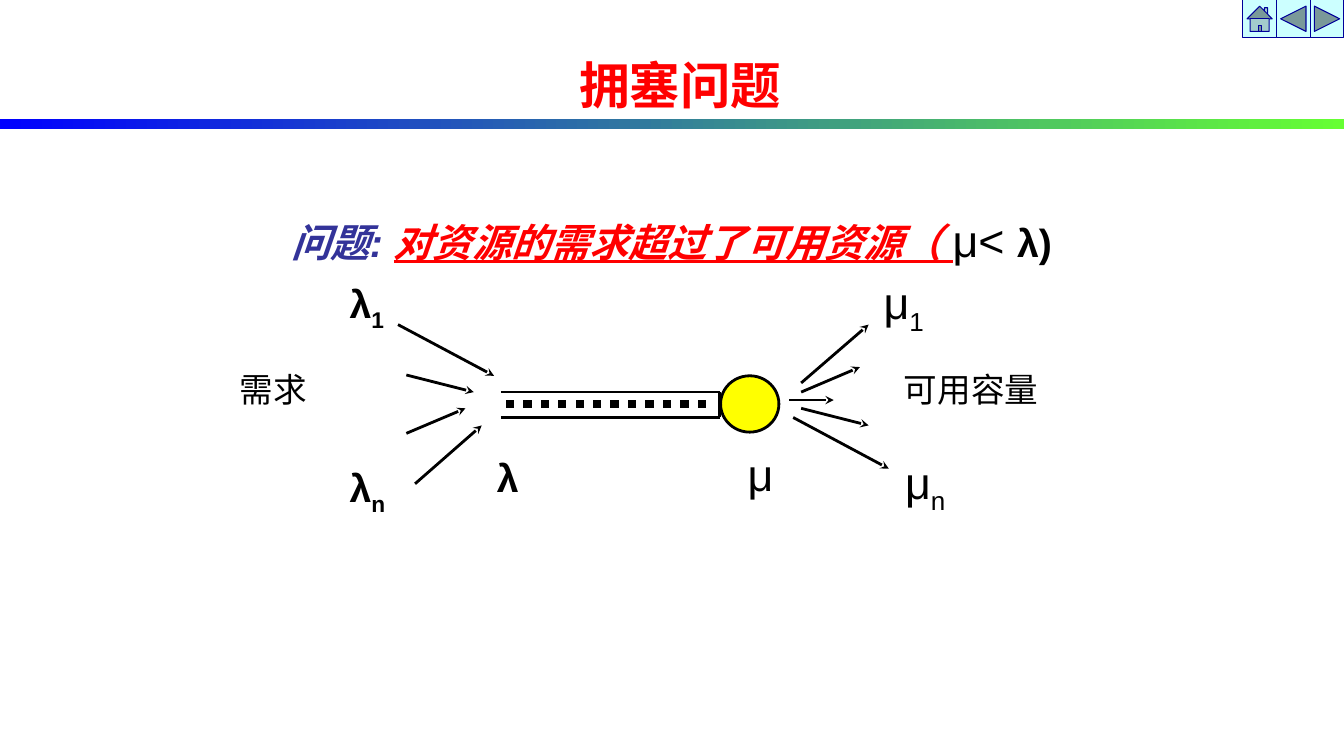
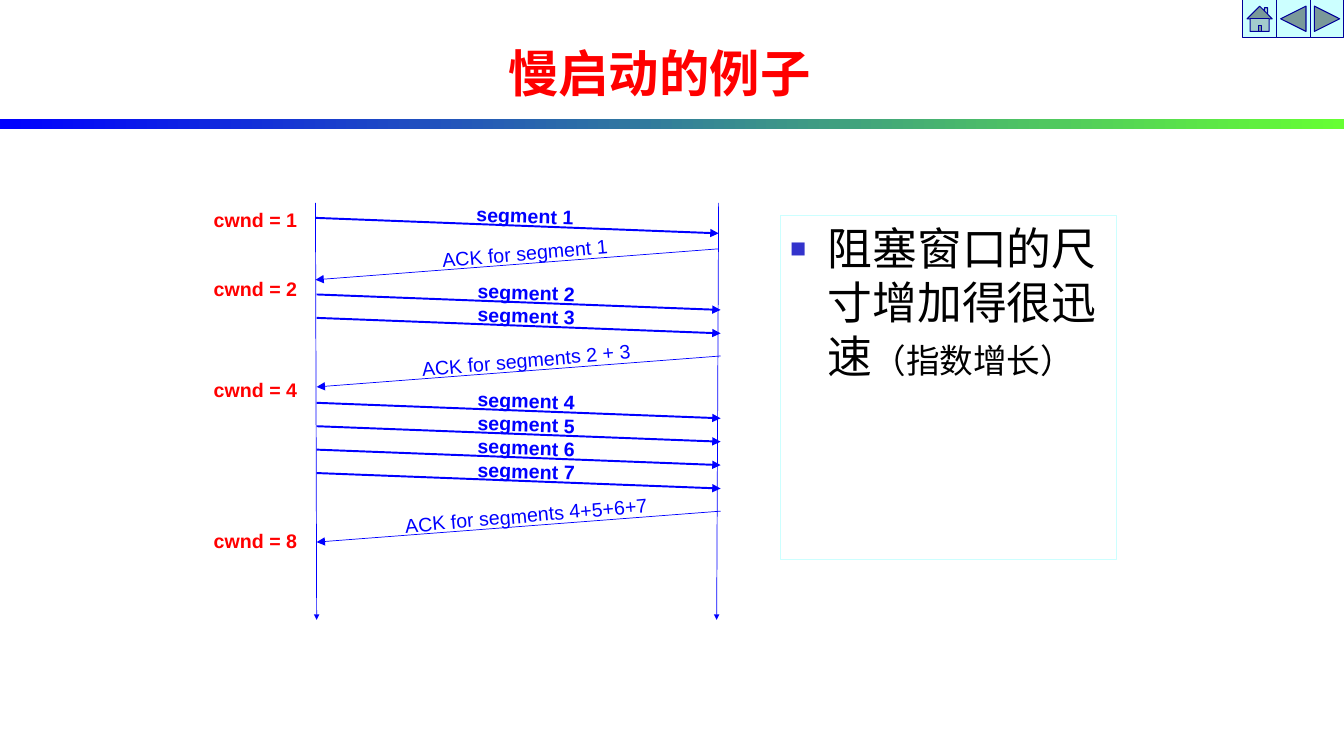
import pptx
import pptx.util
import pptx.dml.color
import pptx.enum.shapes
import pptx.enum.text
import pptx.enum.lang
import pptx.oxml.ns
from lxml import etree

Cm = pptx.util.Cm
Pt = pptx.util.Pt
SHAPE = pptx.enum.shapes.MSO_SHAPE
ALIGN = pptx.enum.text.PP_ALIGN
ANCHOR = pptx.enum.text.MSO_ANCHOR
CHINESE = pptx.enum.lang.MSO_LANGUAGE_ID.SIMPLIFIED_CHINESE

WIDE, HIGH = 33.87, 19.05
BLACK, WHITE, RED, BLUE = "000000", "FFFFFF", "FF0000", "0000FF"
NAVY, PALE, INDIGO, YELLOW = "000099", "CCFFFF", "333399", "FFFF00"
LIME, BULLET = "66FF33", "3333CC"


def rgb(code):
    return pptx.dml.color.RGBColor.from_string(code)


def tag(parent, name, **attrs):
    node = etree.SubElement(parent, pptx.oxml.ns.qn("a:" + name))
    for key, value in attrs.items():
        node.set(key, str(value))
    return node


def style(run, size=14, font="Arial", color=BLACK, bold=False,
          slant=False, under=False, base=0):
    face = run.font
    face.size = Pt(size)
    face.name = font
    face.bold = bold
    face.italic = slant
    face.underline = under
    face.color.rgb = rgb(color)
    face.language_id = CHINESE
    props = run._r.get_or_add_rPr()
    tag(props, "ea", typeface=font)
    if base:
        props.set("baseline", str(base * 1000))


def text(shape, words, align=ALIGN.LEFT, wrap=True, inset=True,
         bullet=False, **look):
    frame = shape.text_frame
    frame.word_wrap = wrap
    frame.vertical_anchor = ANCHOR.TOP
    if not inset:
        frame.margin_left = frame.margin_right = 0
        frame.margin_top = frame.margin_bottom = 0
    para = frame.paragraphs[0]
    para.alignment = align
    if bullet:
        props = para._p.get_or_add_pPr()
        props.set("marL", str(Cm(0.95)))
        props.set("indent", str(-Cm(0.95)))
        tag(tag(props, "buClr"), "srgbClr", val=BULLET)
        tag(props, "buSzPct", val=60000)
        tag(props, "buFont", typeface="Arial")
        tag(props, "buChar", char="■")
    parts = [(words, {})] if isinstance(words, str) else words
    for part, extra in parts:
        run = para.add_run()
        run.text = part
        style(run, **{**look, **extra})


def label(slide, left, top, width, height, words, turn=0, **look):
    area = slide.shapes.add_textbox(Cm(left), Cm(top), Cm(width), Cm(height))
    area.rotation = turn
    text(area, words, **look)


def block(slide, kind, left, top, width, height, fill, edge=None, thick=0.75):
    shape = slide.shapes.add_shape(kind, Cm(left), Cm(top), Cm(width), Cm(height))
    shape.shadow.inherit = False
    shape.fill.solid()
    shape.fill.fore_color.rgb = rgb(fill)
    if edge:
        shape.line.color.rgb = rgb(edge)
        shape.line.width = Pt(thick)
    else:
        shape.line.fill.background()
    return shape


def line(slide, start, end, color=BLACK, thick=2, head=None, size="med"):
    link = slide.shapes.add_connector(
        pptx.enum.shapes.MSO_CONNECTOR.STRAIGHT,
        *(Cm(value) for value in (*start, *end)))
    link.line.color.rgb = rgb(color)
    link.line.width = Pt(thick)
    if head:
        tag(link.line._get_or_add_ln(), "tailEnd", type=head, w=size, len=size)
    tag(link._element.spPr, "effectLst")


def page(deck, title, left, top):
    slide = deck.slides.add_slide(deck.slide_layouts[6])
    kinds = (SHAPE.ACTION_BUTTON_FORWARD_OR_NEXT,
             SHAPE.ACTION_BUTTON_BACK_OR_PREVIOUS,
             SHAPE.ACTION_BUTTON_HOME)
    for place, kind in enumerate(kinds, 1):
        block(slide, kind, WIDE - 0.85 * place, 0, 0.85, 0.95, PALE, NAVY)
    band = block(slide, SHAPE.RECTANGLE, 0, 3, WIDE, 0.24, BLUE)
    band.fill.gradient()
    band.fill.gradient_angle = 0
    for stop, color in zip(band.fill.gradient_stops, (BLUE, LIME)):
        stop.color.rgb = rgb(color)
    label(slide, left, top, 21.59, 3.18, title, align=ALIGN.CENTER,
          size=36, color=RED, bold=True)
    return slide


def jam(deck):
    slide = page(deck, "拥塞问题", 6.35, 1.24)
    label(slide, 5.74, 5.23, 22.38, 1.6, [
        ("问题: ", {"color": INDIGO, "slant": True}),
        ("对资源的需求超过了可用资源（ ",
         {"color": RED, "slant": True, "under": True}),
        ("μ< ", {"size": 32, "bold": False}),
        ("λ)", {}),
    ], align=ALIGN.CENTER, size=28, bold=True)

    block(slide, SHAPE.OVAL, 18.16, 9.47, 1.47, 1.42, YELLOW, BLACK, 2)
    left, right, top, low = 12.62, 18.14, 9.88, 10.52
    line(slide, (left, top), (right, top))
    line(slide, (right, top), (right, low))
    line(slide, (left, low), (right, low))
    for place in range(12):
        x = 12.85 + 0.44 * place
        line(slide, (x, 10.08), (x, 10.29), thick=6)

    for start, end in (
            ((10.03, 8.18), (12.45, 9.47)),
            ((10.24, 9.45), (11.94, 9.88)),
            ((10.24, 10.92), (11.73, 10.29)),
            ((10.46, 12.19), (12.14, 10.72)),
            ((20.19, 9.65), (21.89, 8.18)),
            ((20.19, 9.88), (21.67, 9.25)),
            ((19.89, 10.08), (21.01, 10.08)),
            ((20.19, 10.29), (21.89, 10.72)),
            ((19.99, 10.52), (22.4, 11.81))):
        line(slide, start, end, head="stealth")

    for x, y, width, sign, sub in (
            (8.56, 6.91, 1.42, "λ", "1"),
            (8.56, 11.56, 1.47, "λ", "n"),
            (12.27, 11.3, 1.04, "λ", ""),
            (22.02, 6.81, 2.49, "μ", "1"),
            (22.56, 11.33, 2.49, "μ", "n"),
            (18.59, 11.13, 1.8, "μ", "")):
        rate = sign == "λ"
        parts = [(sign, {})] + ([(sub, {"base": -25})] if sub else [])
        label(slide, x, y, width, 1.5, parts, wrap=not rate,
              size=28 if rate else 32, bold=rate)
    for x, width, words in ((5.79, 2.21, "需求"), (22.53, 3.89, "可用容量")):
        label(slide, x, 9.17, width, 1.27, words, wrap=False,
              size=24, font="Comic Neue")


def note(slide, mid, top, words, **look):
    width = 6.2
    label(slide, mid - width / 2, top, width, 0.61, words, wrap=False,
          inset=False, align=ALIGN.CENTER, **look)


def start(deck):
    slide = page(deck, "慢启动的例子", 5.82, 0.94)
    body = block(slide, SHAPE.RECTANGLE, 19.66, 5.44, 8.48, 8.66, WHITE, PALE)
    text(body, [("阻塞窗口的尺寸增加得很迅速", {}),
                ("（指数增长）", {"size": 24})],
         bullet=True, size=32, font="Karla")

    for top, low in ((7.95, 7.98), (18.11, 18.06)):
        line(slide, (top, 5.11), (low, 15.62), BLUE, 0.5, "triangle", "sm")

    count = 1
    for x, far, first, reply, names in (
            (7.95, 18.11, 5.49, 6.27, "segment 1"),
            (7.98, 18.16, 7.42, 8.97, "segments 2 + 3"),
            (7.98, 18.16, 10.15, 12.88, "segments 4+5+6+7")):
        mid = x + 5.28
        for number in range(count, 2 * count):
            y = first + 0.59 * (number - count)
            line(slide, (x, y), (far, y + 0.39), BLUE, 1.38, "triangle")
            note(slide, mid, y - 0.35, f"segment {number}", turn=2,
                 color=BLUE, bold=True)
        line(slide, (far, reply), (x, reply + 0.78), BLUE, 0.5, "triangle")
        note(slide, mid, reply - 0.2, f"ACK for {names}", turn=355, color=BLUE)
        count *= 2

    for power, y in enumerate((5.23, 6.99, 9.53, 13.34)):
        note(slide, 6.44, y, f"cwnd = {2 ** power}", color=RED, bold=True)


def main():
    deck = pptx.Presentation()
    deck.slide_width = Cm(WIDE)
    deck.slide_height = Cm(HIGH)
    jam(deck)
    start(deck)
    deck.save("out.pptx")


if __name__ == "__main__":
    main()
